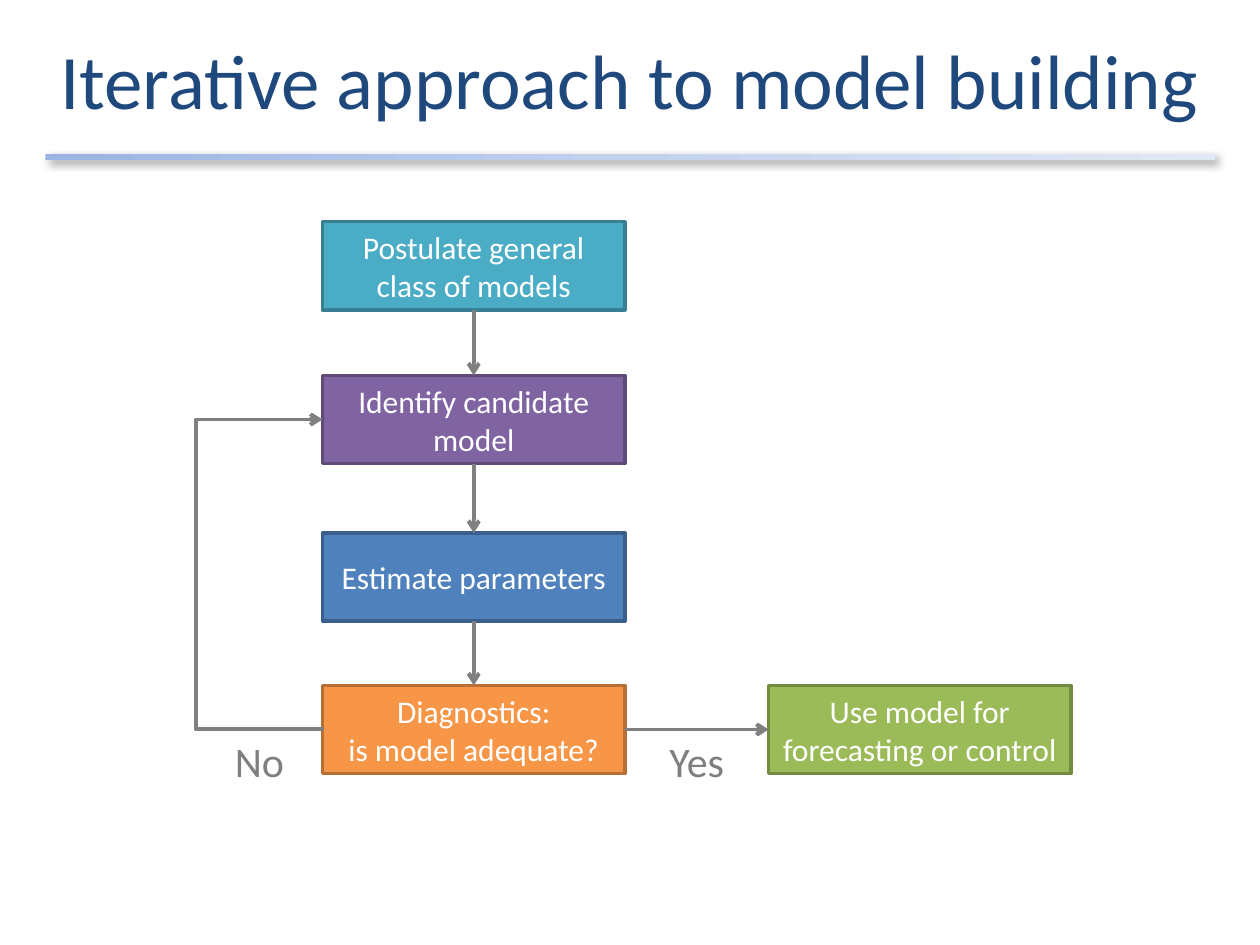
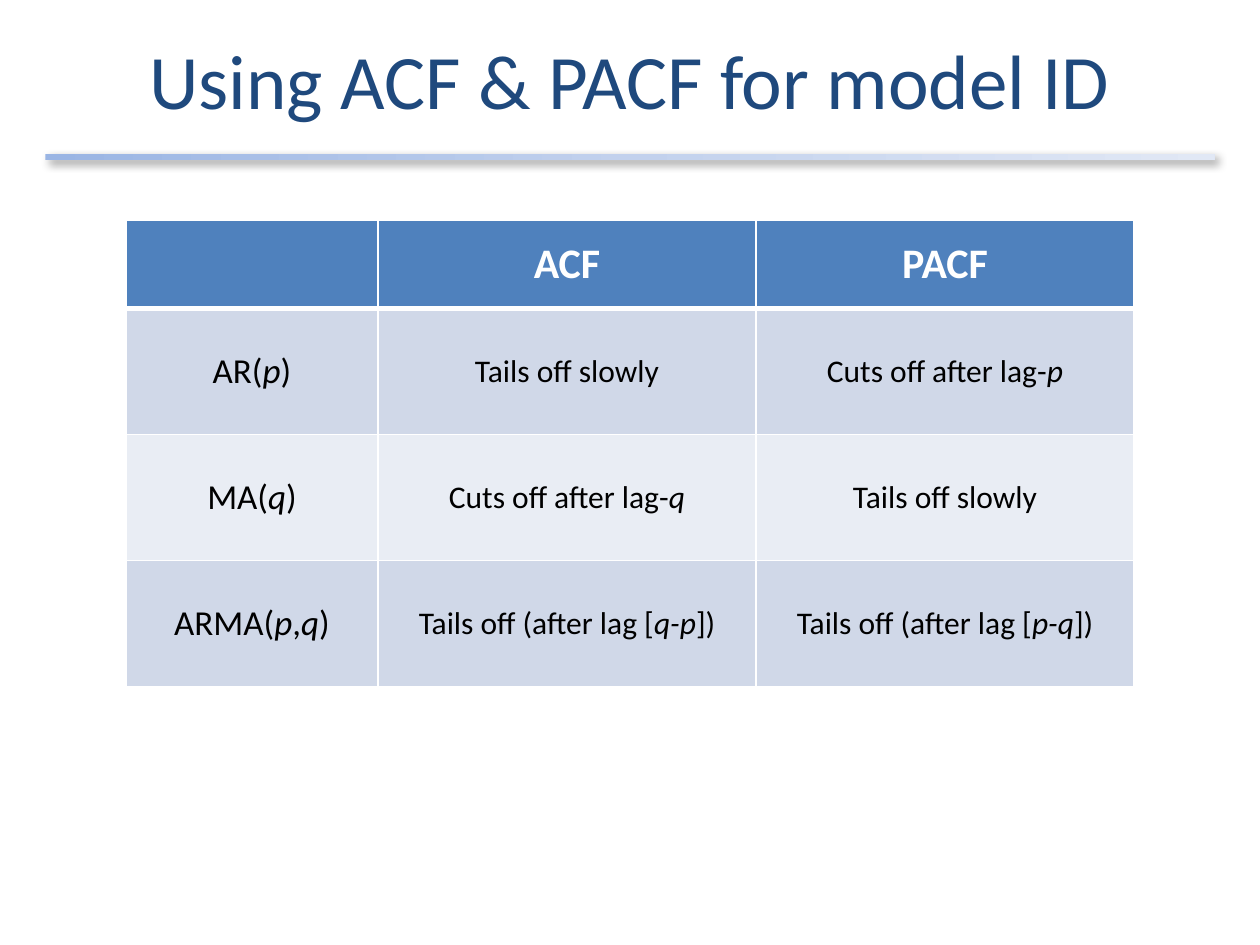
from pptx import Presentation
from pptx.dml.color import RGBColor
from pptx.enum.shapes import MSO_CONNECTOR, MSO_SHAPE
from pptx.enum.text import MSO_ANCHOR, PP_ALIGN
from pptx.oxml import parse_xml
from pptx.oxml.ns import qn
from pptx.util import Inches, Pt

RECT = MSO_SHAPE.RECTANGLE
STRAIGHT, ELBOW = MSO_CONNECTOR.STRAIGHT, MSO_CONNECTOR.ELBOW
MIDDLE = MSO_ANCHOR.MIDDLE
CENTER = PP_ALIGN.CENTER
TOP, LEFT, BOTTOM, RIGHT = range(4)

NS = 'xmlns:a="http://schemas.openxmlformats.org/drawingml/2006/main"'
FONT = "Calibri"
NAVY, BLUE, WHITE, BLACK = "1F497D", "4F81BD", "FFFFFF", "000000"
GREY, LABEL = "808080", "7F7F7F"
BANDS = ("D0D8E8", "E9EDF4")
BOX_W, BOX_H = 2.4, 0.7

STEPS = [  # top, fill, line, text
    (0, "4BACC6", "377F92", "Postulate general class of models"),
    (1.22, "8064A2", "5F4A78", "Identify candidate model"),
    (2.47, BLUE, "3A5F8C", "Estimate parameters"),
    (3.68, "F79646", "B76F34", "Diagnostics:\nis model adequate?"),
]

# Text between asterisks is italic
ROWS = [
    ("", "ACF", "PACF"),
    ("AR(*p*)", "Tails off slowly", "Cuts off after lag-*p*"),
    ("MA(*q*)", "Cuts off after lag-*q*", "Tails off slowly"),
    ("ARMA(*p*,*q*)", "Tails off (after lag [*q-p*])",
     "Tails off (after lag [*p-q*])"),
]


def color(code):
    return RGBColor.from_string(code)


def inches(*sizes):
    return [Inches(size) for size in sizes]


def style(para, size, code, bold=False):
    para.alignment = CENTER
    font = para.font
    font.name, font.size, font.bold = FONT, Pt(size), bold
    font.color.rgb = color(code)


def write(shape, text, size, code, after=0):
    frame = shape.text_frame
    frame.word_wrap = True
    frame.vertical_anchor = MIDDLE
    frame.text = text
    for para in frame.paragraphs:
        style(para, size, code)
        para.space_after = Pt(after)


def add_rule(slide, left, top, width, height):
    """Add the gradient band with a soft shadow under the title."""
    rule = slide.shapes.add_shape(RECT, *inches(left, top, width, height))
    rule.line.fill.background()
    rule.fill.gradient()
    rule.fill.gradient_angle = 0
    first, last = rule.fill.gradient_stops
    first.color.rgb, first.position = color("9AB5E4"), 0
    last.color.rgb, last.position = color("E1E8F5"), 1
    rule.shadow.inherit = False
    props = rule._element.spPr
    props.find(".//" + qn("a:gsLst")).insert(1, parse_xml(
        f'<a:gs {NS} pos="50000"><a:srgbClr val="C2D1ED"/></a:gs>'))
    props.find(qn("a:effectLst")).append(parse_xml(
        f'<a:outerShdw {NS} blurRad="{Pt(5)}" dist="{Pt(3)}" dir="2700000" '
        'algn="tl" rotWithShape="0"><a:srgbClr val="000000">'
        '<a:alpha val="40000"/></a:srgbClr></a:outerShdw>'))


def add_slide(deck, text):
    """Add a slide with its title and the band below it."""
    slide = deck.slides.add_slide(deck.slide_layouts[5])
    title = slide.shapes.title
    title.left, title.top, title.width, title.height = inches(0, 0, 10, 1.25)
    write(title, text, 44, NAVY)
    add_rule(slide, 0.36, 1.22, 9.28, 0.05)
    return slide


def add_box(slide, left, top, fill, line, text):
    box = slide.shapes.add_shape(RECT, *inches(left, top, BOX_W, BOX_H))
    box.shadow.inherit = False
    box.fill.solid()
    box.fill.fore_color.rgb = color(fill)
    box.line.color.rgb = color(line)
    box.line.width = Pt(2)
    write(box, text, 18, WHITE, 0 if "\n" in text else 18)
    return box


def add_arrow(slide, kind, *ends):
    arrow = slide.shapes.add_connector(kind, *ends)
    arrow.line.color.rgb = color(GREY)
    arrow.line.width = Pt(2.25)
    arrow.line._get_or_add_ln().append(
        parse_xml(f'<a:tailEnd {NS} type="arrow"/>'))
    arrow._element.spPr.append(parse_xml(f"<a:effectLst {NS}/>"))
    return arrow


def join(slide, source, out, target, into):
    arrow = add_arrow(slide, STRAIGHT, 0, 0, 0, 0)
    arrow.begin_connect(source, out)
    arrow.end_connect(target, into)


def loop_back(slide, source, target, reach):
    """Lead from the left of source out by reach and back to target."""
    step = Inches(0.01)
    arrow = add_arrow(slide, ELBOW, source.left + step,
                      source.top + source.height // 2,
                      target.left, target.top + target.height // 2)
    bend = round((Inches(reach) + step) / step * 100000)
    geom = arrow._element.spPr.find(qn("a:prstGeom"))
    guides = geom.find(qn("a:avLst"))
    if guides is not None:
        geom.remove(guides)
    geom.append(parse_xml(
        f'<a:avLst {NS}><a:gd name="adj1" fmla="val {bend}"/></a:avLst>'))


def add_label(slide, left, top, text):
    label = slide.shapes.add_textbox(*inches(left, top, 0.7, 0.5))
    write(label, text, 24, LABEL, 18)


def add_flow(slide, left, top):
    """Draw the chain of steps, the loop back and the way out."""
    boxes = [add_box(slide, left, top + down, *look)
             for down, *look in STEPS]
    last = top + STEPS[-1][0]
    use = add_box(slide, left + 3.54, last, "9BBB59", "738A42",
                  "Use model for forecasting or control")
    for source, target in zip(boxes, boxes[1:]):
        join(slide, source, BOTTOM, target, TOP)
    loop_back(slide, boxes[3], boxes[1], 1.02)
    join(slide, boxes[3], RIGHT, use, LEFT)
    add_label(slide, left - 0.85, last + BOX_H / 2, "No")
    add_label(slide, left + 2.62, last + BOX_H / 2, "Yes")


def edge(cell, **widths):
    """Give the cell white borders of the given widths by side."""
    for side, width in widths.items():
        cell._tc.get_or_add_tcPr().append(parse_xml(
            f'<a:ln{side} {NS} w="{Pt(width)}"><a:solidFill>'
            f'<a:srgbClr val="{WHITE}"/></a:solidFill></a:ln{side}>'))


def fill_cell(cell, text, row, col):
    head = row == 0
    edge(cell, L=1, R=1, T=3 if row == 1 else 1, B=3 if head else 1)
    cell.fill.solid()
    cell.fill.fore_color.rgb = color(BLUE if head else BANDS[(row - 1) % 2])
    cell.vertical_anchor = MIDDLE
    para = cell.text_frame.paragraphs[0]
    size = 24 if head else 20 if col == 0 else 18
    style(para, size, WHITE if head else BLACK, head)
    for index, part in enumerate(text.split("*")):
        if part:
            run = para.add_run()
            run.text = part
            run.font.italic = index % 2 == 1


def add_grid(slide, left, top, widths, heights):
    frame = slide.shapes.add_table(
        len(heights), len(widths),
        *inches(left, top, sum(widths), sum(heights)))
    table = frame.table
    for col, width in zip(table.columns, widths):
        col.width = Inches(width)
    for row, height in zip(table.rows, heights):
        row.height = Inches(height)
    for row, texts in enumerate(ROWS):
        for col, text in enumerate(texts):
            fill_cell(table.cell(row, col), text, row, col)


def main():
    deck = Presentation()
    deck.slide_width, deck.slide_height = inches(10, 7.5)
    add_flow(add_slide(deck, "Iterative approach to model building"),
             2.56, 1.76)
    add_grid(add_slide(deck, "Using ACF & PACF for model ID"),
             1, 1.75, (2, 3, 3), (0.7, 1, 1, 1))
    deck.save("out.pptx")


if __name__ == "__main__":
    main()
